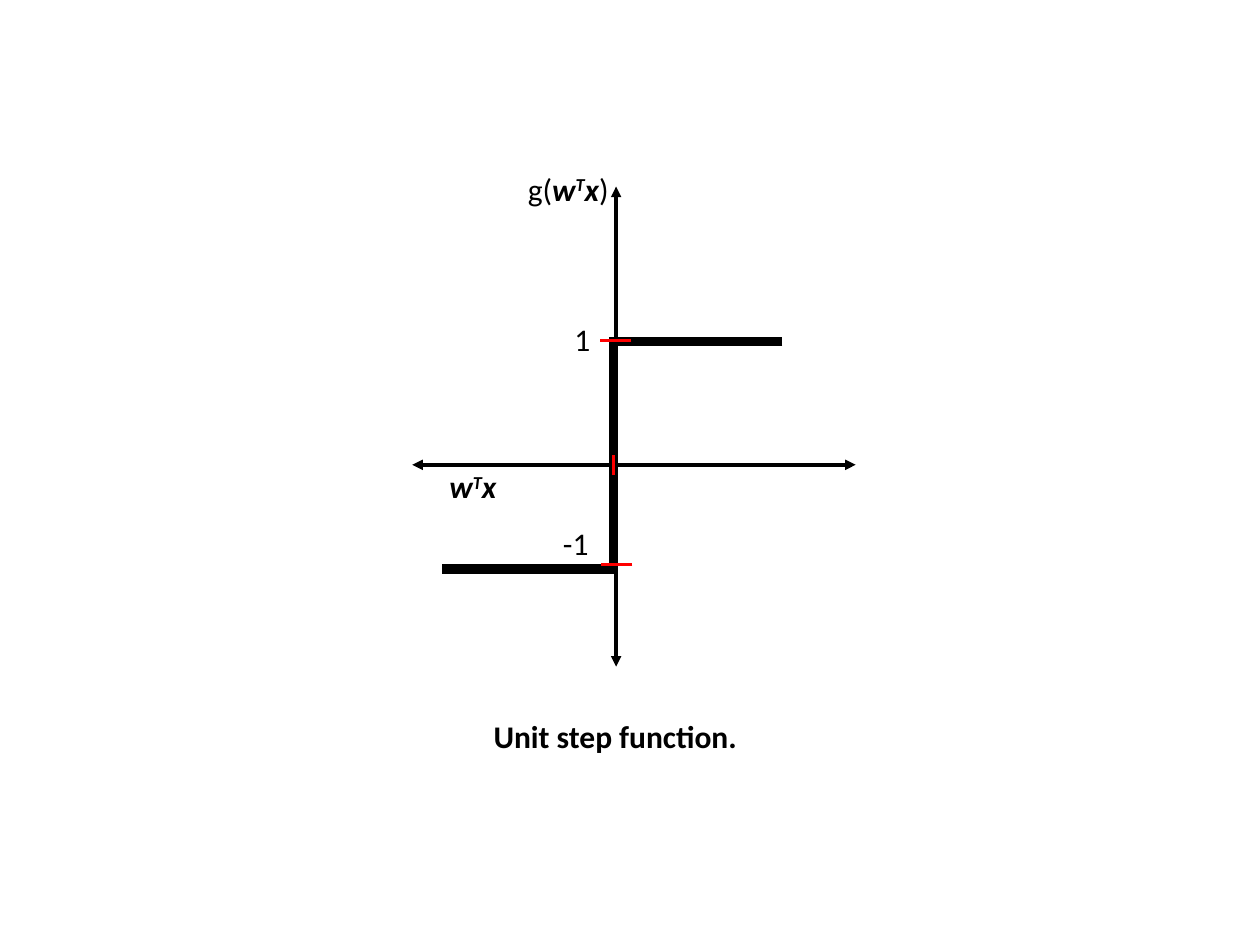
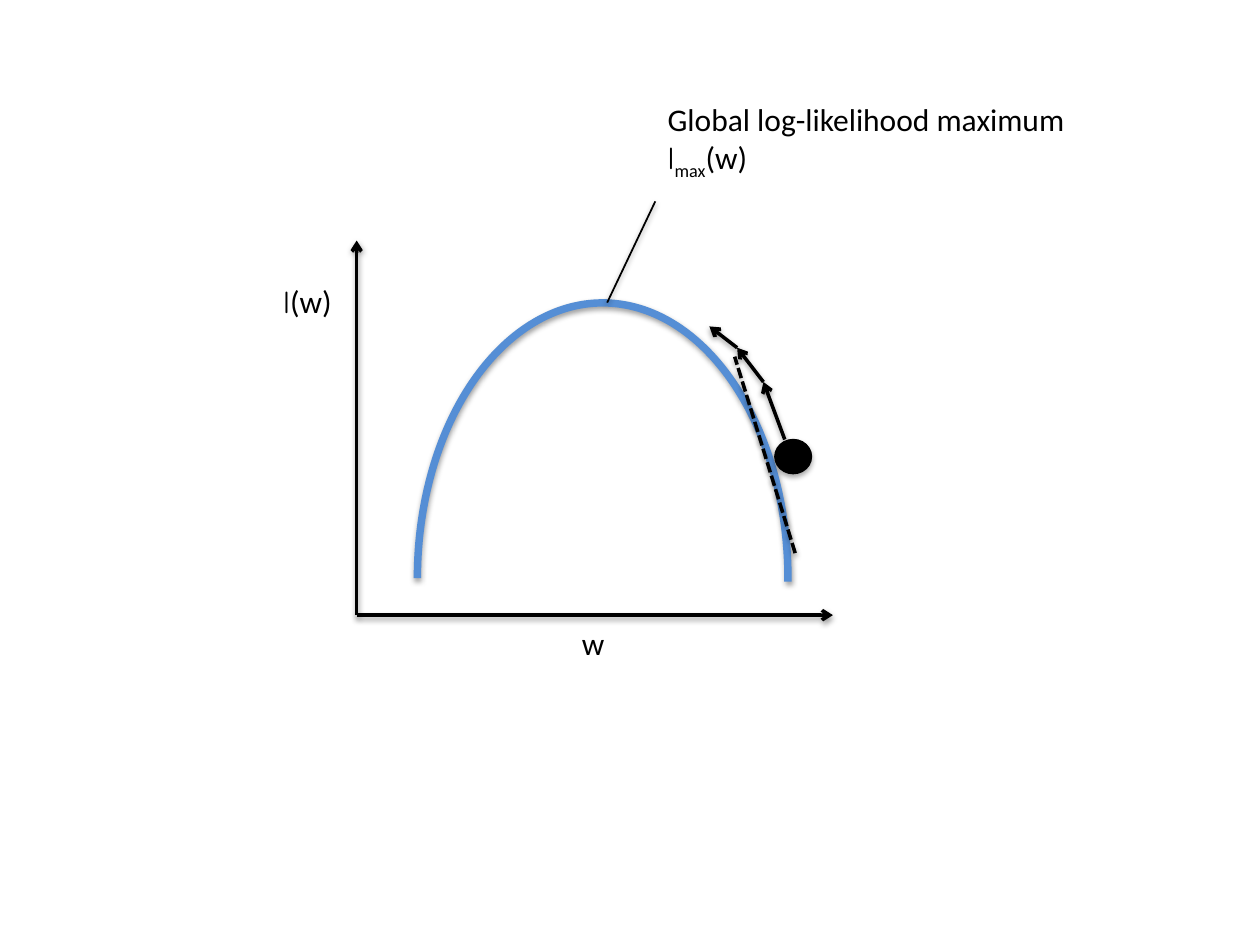
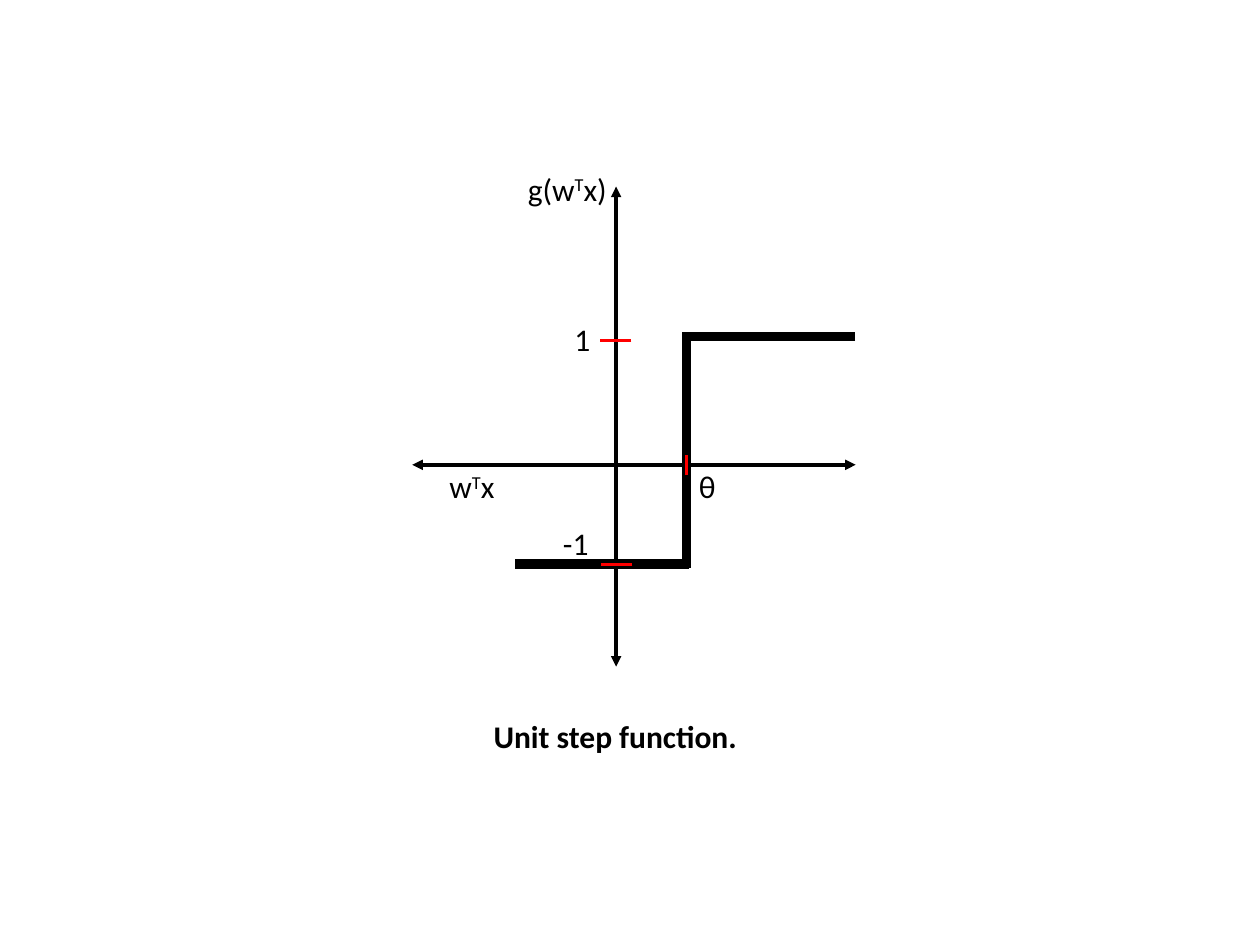
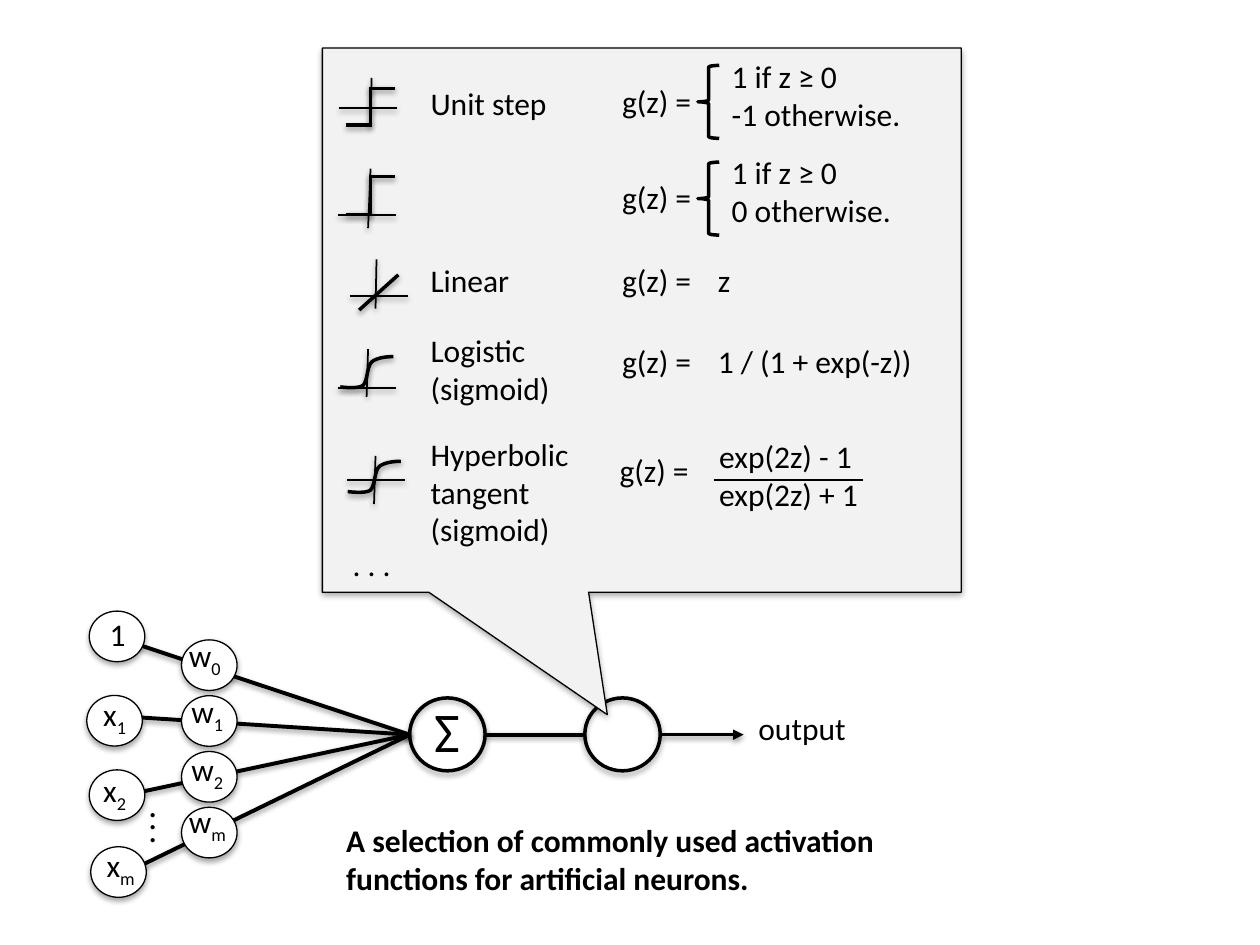
import lxml.etree
import pptx
import pptx.dml.color
import pptx.enum.dml
import pptx.enum.shapes
import pptx.enum.text
import pptx.oxml.ns
import pptx.util

Cm = pptx.util.Cm
SHAPES = pptx.enum.shapes.MSO_SHAPE
BLACK, WHITE, RED, BLUE, GREY = "000000", "FFFFFF", "FF0000", "558ED5", "F2F2F2"
FONT, SCRIPT_FONT = "Calibri", "Comic Neue"
LINE_HEIGHT = 1.02
SHAPE_SHADOW = {"alpha": 35000, "distance": 23000}
LINE_SHADOW = {"alpha": 38000, "distance": 20000}
SIGMOID = [(1.07, 0), (0.89, 0), (0.74, 0.03), (0.64, 0.1), (0.53, 0.2),
           (0.56, 0.48), (0.46, 0.58), (0.36, 0.66), (0, 0.61), (0, 0.61)]


def color(value):
    """Turn a hex string into a colour."""
    return pptx.dml.color.RGBColor.from_string(value)


def add_xml(parent, tag, **attributes):
    """Append a drawing element with attributes to a parent element."""
    child = lxml.etree.SubElement(parent, pptx.oxml.ns.qn("a:" + tag))
    for name, value in attributes.items():
        child.set(name, str(value))
    return child


def set_effects(shape, shadow):
    """Give a finished shape the soft downward shadow, or none."""
    effects = add_xml(shape._element.spPr, "effectLst")
    if shadow:
        outer = add_xml(effects, "outerShdw", blurRad=40000, dist=shadow["distance"],
                        dir=5400000, rotWithShape=0)
        add_xml(add_xml(outer, "srgbClr", val=BLACK), "alpha", val=shadow["alpha"])


def set_line(shape, line_color, width):
    """Set the colour and the width of an outline."""
    shape.line.color.rgb = color(line_color)
    shape.line.width = pptx.util.Pt(width)


def add_text(page, left, top, width, text, height=LINE_HEIGHT, size=18, bold=False,
             wrap=True, spacing=None):
    """Add text; | parts spans, and ^ _ * ~ mark super, sub, bold italic and script."""
    box = page.shapes.add_textbox(Cm(left), Cm(top), Cm(width), Cm(height))
    frame = box.text_frame
    frame.word_wrap = wrap
    frame.auto_size = pptx.enum.text.MSO_AUTO_SIZE.SHAPE_TO_FIT_TEXT
    for number, row in enumerate(text.split("\n")):
        para = frame.add_paragraph() if number else frame.paragraphs[0]
        para.line_spacing = spacing
        for part in row.split("|"):
            words = part.lstrip("^_*~")
            marks = part[:len(part) - len(words)]
            span = para.add_run()
            span.text = words
            span.font.size = pptx.util.Pt(size)
            span.font.name = SCRIPT_FONT if "~" in marks else FONT
            span.font.color.rgb = color(BLACK)
            span.font.bold = bold or "*" in marks
            span.font.italic = "*" in marks
            if "^" in marks:
                span.font._element.set("baseline", "30000")
            if "_" in marks:
                span.font._element.set("baseline", "-25000")


def add_line(page, start, end, width=2, line_color=BLACK, head=None, tail=None,
             dashed=False, shadow=None):
    """Add a straight line between two points, with optional arrowheads."""
    line = page.shapes.add_connector(pptx.enum.shapes.MSO_CONNECTOR.STRAIGHT,
                                     *[Cm(value) for value in (*start, *end)])
    set_line(line, line_color, width)
    if dashed:
        line.line.dash_style = pptx.enum.dml.MSO_LINE.SQUARE_DOT
    outline = line.line._get_or_add_ln()
    if head:
        add_xml(outline, "headEnd", type=head)
    if tail:
        add_xml(outline, "tailEnd", type=tail)
    set_effects(line, shadow)


def add_shape(page, kind, left, top, width, height, fill=None, line_color=BLACK,
              line_width=0.75, shadow=SHAPE_SHADOW, adjustments=(), rotation=0):
    """Add a preset shape."""
    shape = page.shapes.add_shape(kind, Cm(left), Cm(top), Cm(width), Cm(height))
    shape.rotation = rotation
    for number, value in enumerate(adjustments):
        shape.adjustments[number] = value
    if fill:
        shape.fill.solid()
        shape.fill.fore_color.rgb = color(fill)
    else:
        shape.fill.background()
    set_line(shape, line_color, line_width)
    set_effects(shape, shadow)


def bezier_point(points, share):
    """Give the point at a share of the way along a cubic curve."""
    rest = 1 - share
    weights = (rest ** 3, 3 * rest ** 2 * share, 3 * rest * share ** 2, share ** 3)
    return tuple(sum(weight * point[axis] for weight, point in zip(weights, points))
                 for axis in (0, 1))


def add_sigmoid(page, left, top, steps=8):
    """Add the small S-shaped curve."""
    knots = [(left + x, top + y) for x, y in SIGMOID]
    points = [bezier_point(knots[first:first + 4], step / steps)
              for first in (0, 3, 6) for step in range(1, steps + 1)]
    builder = page.shapes.build_freeform(Cm(knots[0][0]), Cm(knots[0][1]))
    builder.add_line_segments([(Cm(x), Cm(y)) for x, y in points], close=False)
    curve = builder.convert_to_shape()
    curve.fill.background()
    set_line(curve, BLACK, 2)
    set_effects(curve, LINE_SHADOW)


def add_step_plot(page, step_x, top, vector, vector_width, output):
    """Draw the unit step function, with its jump at step_x."""
    axis_x, axis_y, low = 12.42, 9.37, top + 4.59
    add_line(page, (axis_x, 3.76), (axis_x, 13.44), head="triangle", tail="triangle")
    add_line(page, (17.25, axis_y), (8.31, axis_y), head="triangle", tail="triangle")
    for start, end in [((step_x, top), (step_x, top + 4.68)),
                       ((step_x + 3.4, top), (step_x - 0.1, top)),
                       ((step_x + 0.05, low), (step_x - 3.45, low))]:
        add_line(page, start, end, width=5.25)
    add_text(page, 11.1, 10.44, 1.04, "-1", wrap=False)
    add_text(page, 11.33, 6.32, 0.84, "1", wrap=False)
    for start, end in [((12.73, 6.86), (12.09, 6.86)),
                       ((12.75, 11.38), (12.11, 11.38)),
                       ((step_x, 9.58), (step_x, 9.17))]:
        add_line(page, start, end, line_color=RED)
    add_text(page, 8.81, 9.3, vector_width, vector, wrap=False)
    add_text(page, 10.39, 3.3, 2.17, output, wrap=False)
    add_text(page, 9.7, 14.33, 17.35, "Unit step function.", bold=True)


def build_likelihood(page):
    """Draw the climb to the maximum of the log-likelihood."""
    origin = (7.19, 12.4)
    for end in [(7.19, 4.85), (16.79, 12.4)]:
        add_line(page, origin, end, tail="arrow", shadow=LINE_SHADOW)
    add_text(page, 5.46, 5.56, 2.62, "~l|(w)")
    add_text(page, 11.48, 12.45, 2.62, "w")
    add_text(page, 13.21, 1.9, 8.84, "Global log-likelihood maximum\n~l|_max|(w)", height=1.8)
    add_shape(page, SHAPES.ARC, 6.6, 7.92, 11.1, 7.47, line_color=BLUE, line_width=4.25,
              shadow=LINE_SHADOW, adjustments=(162, 54.64), rotation=270)
    add_shape(page, SHAPES.OVAL, 15.62, 8.86, 0.74, 0.69, fill=BLACK)
    climb = [(15.82, 8.86), (15.39, 7.7), (14.86, 7.01), (14.3, 6.58)]
    for start, end in zip(climb, climb[1:]):
        add_line(page, start, end, tail="arrow", shadow=LINE_SHADOW)
    add_line(page, (12.24, 6.1), (13.21, 4.06), width=1, shadow=LINE_SHADOW)
    add_line(page, (16.03, 11.15), (14.81, 7.19), dashed=True, shadow=LINE_SHADOW)


def add_icon_axes(page, left, axis_y, top, bottom):
    """Add the thin cross of axes of a small graph."""
    add_line(page, (left + 1.17, axis_y), (left, axis_y), width=1, shadow=LINE_SHADOW)
    add_line(page, top, bottom, width=1, shadow=LINE_SHADOW)


def add_step_icon(page, top, low):
    """Add the thick stroke of a small step graph."""
    for start, end in [((7.97, top), (7.43, top)), ((7.47, top), (7.47, low)),
                       ((7.49, low), (6.97, low))]:
        add_line(page, start, end, shadow=LINE_SHADOW)


def add_cases(page, top, cases):
    """Add a formula with two cases behind a brace."""
    add_text(page, 12.29, top + 0.5, 4.45, "g(z) =")
    add_shape(page, SHAPES.LEFT_BRACE, 14.07, top + 0.3, 0.43, 1.47, line_width=2,
              shadow=None)
    add_text(page, 14.5, top, 4.45, cases, height=1.8)


def build_function_list(page):
    """Draw the callout that lists the activation functions."""
    add_shape(page, SHAPES.RECTANGULAR_CALLOUT, 6.5, 0.97, 12.88, 10.97, fill=GREY,
              adjustments=(-0.054, 0.725))
    for axes in [(6.83, 2.18, (7.49, 1.57), (7.47, 2.54)),
                 (6.81, 4.34, (7.47, 3.4), (7.42, 4.6)),
                 (7.06, 5.97, (7.59, 5.23), (7.57, 6.22)),
                 (6.81, 7.82, (7.42, 7.04), (7.39, 8)),
                 (6.99, 9.68, (7.57, 9.19), (7.54, 10.16))]:
        add_icon_axes(page, *axes)
    add_step_icon(page, 1.78, 2.52)
    add_step_icon(page, 3.56, 4.32)
    add_line(page, (8.03, 5.54), (7.24, 6.25), shadow=LINE_SHADOW)
    add_sigmoid(page, 6.86, 7.19)
    add_sigmoid(page, 7.01, 9.3)
    for top, name in [(1.57, "Unit step"), (5.13, "Linear"), (6.55, "Logistic\n(sigmoid)"),
                      (8.64, "Hyperbolic\ntangent\n(sigmoid)")]:
        add_text(page, 8.43, top, 5.08, name)
    add_cases(page, 1.02, "1 if z ≥ 0\n-1 otherwise.")
    add_cases(page, 2.97, "1 if z ≥ 0\n0 otherwise.")
    for left, top in [(12.29, 5.13), (12.29, 6.78), (12.24, 8.97)]:
        add_text(page, left, top, 4.45, "g(z) =")
    add_text(page, 14.22, 5.13, 2, "z")
    add_text(page, 14.22, 6.78, 4.47, "1 / (1 + exp(-z))", wrap=False)
    add_text(page, 14.25, 8.69, 3.61, "exp(2z) - 1\nexp(2z) + 1", height=1.8)
    add_line(page, (14.4, 9.68), (17.4, 9.68), width=1)
    add_text(page, 6.86, 10.87, 5.08, ". . .")


def add_node(page, left, top, label, label_left, label_top):
    """Add a small white circle and its label."""
    add_shape(page, SHAPES.OVAL, left, top, 1.12, LINE_HEIGHT, fill=WHITE)
    add_text(page, label_left, label_top, 1.5, label)


def build_neuron(page):
    """Draw the neuron with its inputs, weights, sum and activation."""
    middle = 14.81
    add_shape(page, SHAPES.OVAL, 11.79, 14.07, 1.52, 1.47, line_width=2)
    build_function_list(page)
    for start in [(2.74, 12.98), (2.62, 14.45), (2.67, 16), (2.67, 17.53)]:
        add_line(page, start, (8.26, middle), width=2.25, shadow=LINE_SHADOW)
    add_shape(page, SHAPES.OVAL, 8.26, 14.07, 1.52, 1.47, line_width=2)
    add_text(page, 8.51, 13.92, 0.64, "Σ", height=1.63, size=32)
    add_line(page, (9.75, middle), (11.79, middle), width=2.25, shadow=LINE_SHADOW)
    add_line(page, (14.99, middle), (13.34, middle), head="triangle", shadow=LINE_SHADOW)
    add_text(page, 2.74, 16.15, 2.34, ".\n.\n.", height=1.37, size=20, spacing=0.3)
    weights = [("w|_0", 3.56, 12.7), ("w|_1", 3.61, 13.82),
               ("w|_2", 3.61, 14.99), ("w|_m", 3.56, 16.05)]
    for number, label in enumerate(weights):
        add_node(page, 3.66, 12.9 + 1.125 * number, *label)
    for node in [(1.8, 12.32, "1", 1.96, 12.27), (1.75, 14.02, "x|_1", 1.83, 13.89),
                 (1.8, 15.52, "x|_2", 1.83, 15.42), (1.83, 17.07, "x|_m", 1.9, 16.94)]:
        add_node(page, *node)
    add_text(page, 15.04, 14.17, 2.74, "output")
    add_text(page, 6.73, 16.43, 13.49, "A selection of commonly used activation functions "
             "for artificial neurons.", height=1.8, bold=True)


def main():
    """Build the four slides and save the deck."""
    deck = pptx.Presentation()
    deck.slide_width, deck.slide_height = Cm(25.4), Cm(19.05)
    pages = [deck.slides.add_slide(deck.slide_layouts[6]) for _ in range(4)]
    add_step_plot(pages[0], 12.37, 6.88, "*w|*^T|*x", 1.65, "g(|*w|*^T|*x|)")
    build_likelihood(pages[1])
    add_step_plot(pages[2], 13.84, 6.78, "w|^T|x", 1.47, "g(w|^T|x)")
    add_text(pages[2], 13.84, 9.3, 0.86, "θ", wrap=False)
    build_neuron(pages[3])
    deck.save("out.pptx")


main()
